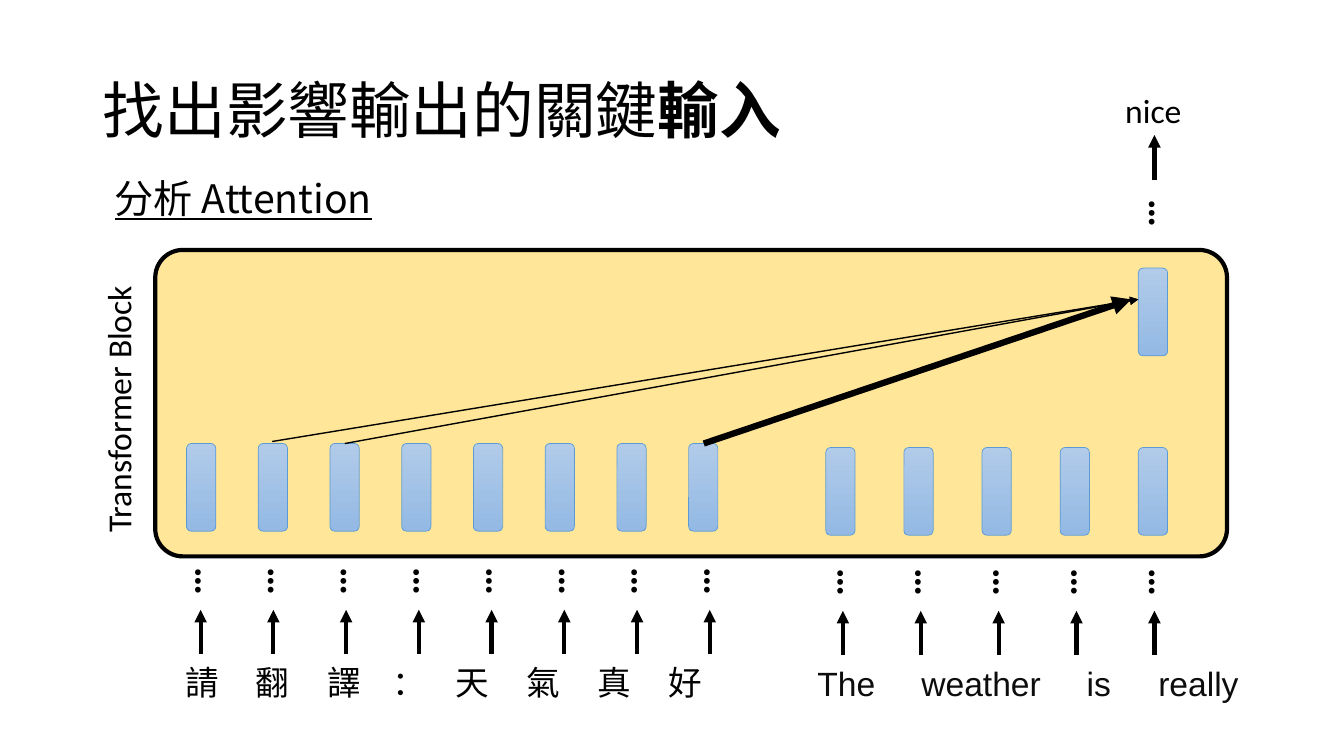
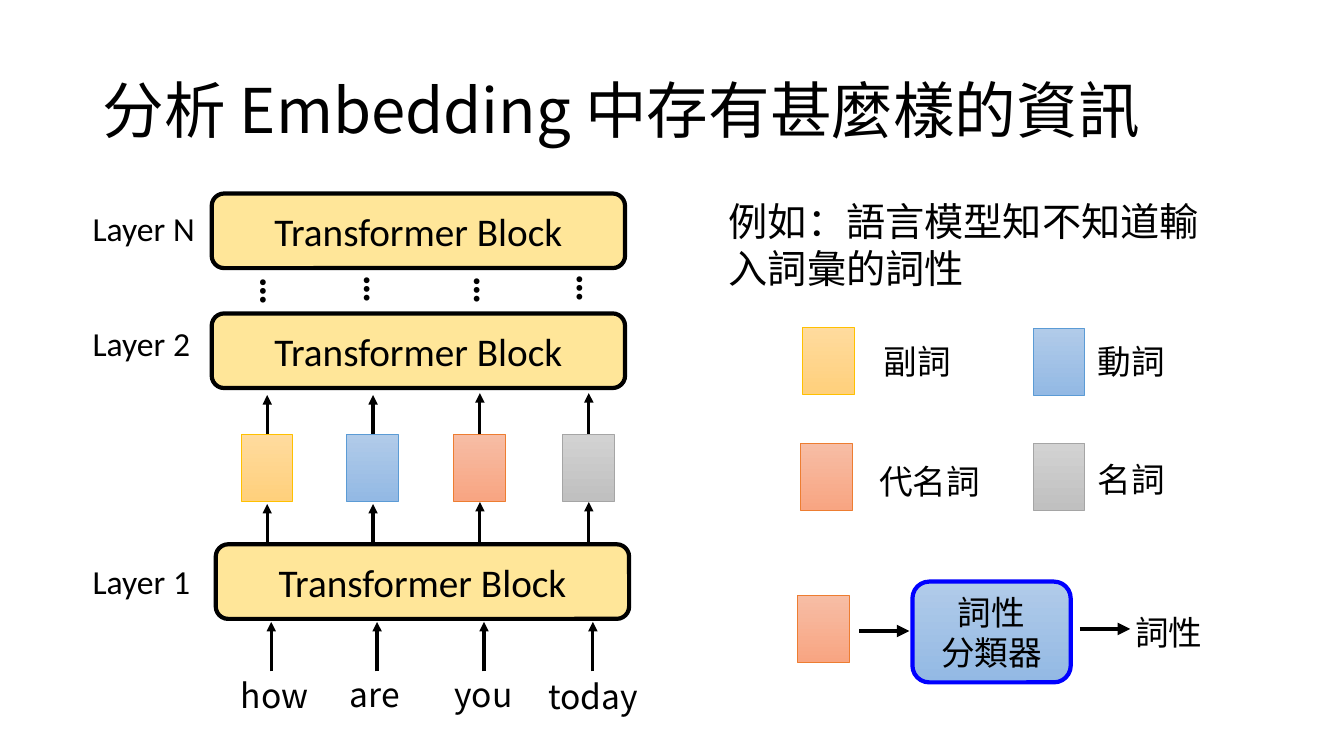
from dataclasses import dataclass

from lxml import etree
from pptx import Presentation
from pptx.dml.color import RGBColor
from pptx.enum.shapes import MSO_CONNECTOR, MSO_SHAPE
from pptx.enum.text import MSO_ANCHOR, MSO_AUTO_SIZE, PP_ALIGN
from pptx.oxml.ns import qn
from pptx.util import Inches, Pt

LEFT, CENTER = PP_ALIGN.LEFT, PP_ALIGN.CENTER
MIDDLE = MSO_ANCHOR.MIDDLE
NO_AUTOFIT, GROW = MSO_AUTO_SIZE.NONE, MSO_AUTO_SIZE.SHAPE_TO_FIT_TEXT
RECT, ROUNDED = MSO_SHAPE.RECTANGLE, MSO_SHAPE.ROUNDED_RECTANGLE
STRAIGHT = MSO_CONNECTOR.STRAIGHT

COLORS = {
    "ink": "000000",
    "soft_ink": "0D0D0D",
    "block": "FFE699",
    "classifier_line": "0000FF",
}
CJK, LATIN, SANS = "Noto Sans CJK SC", "Calibri", "Arial"
TITLE_LAYOUT = 5


@dataclass(frozen=True)
class Tint:
    top: str
    bottom: str
    line: str


TINTS = {
    "adverb": Tint("FFDB9E", "FFD07C", "FFC000"),
    "verb": Tint("B1CBE9", "93B9E4", "5B9BD5"),
    "pronoun": Tint("F7BDA5", "F8A582", "ED7D31"),
    "noun": Tint("D2D2D2", "C0C0C0", "A5A5A5"),
}


@dataclass(frozen=True)
class Place:
    left: float
    top: float
    width: float
    height: float

    def lengths(self) -> list:
        return [Inches(v) for v in (self.left, self.top, self.width, self.height)]


@dataclass(frozen=True)
class Label:
    text: str
    place: Place
    size: float = 24
    font: str = CJK
    align: int = LEFT
    color: str = "ink"
    bold: bool = False
    underline: bool = False
    rotation: float = 0
    tabs: tuple = ()


@dataclass(frozen=True)
class TokenGroup:
    """Evenly spaced input tokens with a bar, dots and an arrow each."""
    count: int
    first_bar: float
    last_bar: float
    bar_top: float
    first_arrow: float
    last_arrow: float
    arrow_tip: float


@dataclass(frozen=True)
class Swatch:
    tint: str
    left: float
    top: float


def rgb(name: str) -> RGBColor:
    return RGBColor.from_string(COLORS.get(name, name))


def spread(first: float, last: float, count: int) -> list:
    return [first + (last - first) * i / (count - 1) for i in range(count)]


def add_span(para, text: str, font: str, size: float, color: str = "ink", **formats) -> None:
    span = para.add_run()
    span.text = text
    span.font.color.rgb = rgb(color)
    for name, value in {"name": font, "size": Pt(size), **formats}.items():
        setattr(span.font, name, value)
    etree.SubElement(span.font._element, qn("a:ea"), typeface=font)


def add_titled_slide(deck, *spans):
    """Add a slide whose title is made of (text, bold) spans."""
    slide = deck.slides.add_slide(deck.slide_layouts[TITLE_LAYOUT])
    title = slide.shapes.title
    title.left, title.top, title.width, title.height = Place(0.92, 0.4, 11.5, 1.45).lengths()
    frame = title.text_frame
    for name, value in {"vertical_anchor": MIDDLE, "auto_size": NO_AUTOFIT,
                        "word_wrap": True}.items():
        setattr(frame, name, value)
    para = frame.paragraphs[0]
    para.alignment, para.line_spacing = LEFT, 0.9
    for text, bold in spans:
        add_span(para, text, CJK, 44, bold=bold)
    return slide


def add_label(slide, label: Label) -> None:
    box = slide.shapes.add_textbox(*label.place.lengths())
    box.rotation = label.rotation
    frame = box.text_frame
    frame.word_wrap, frame.auto_size = True, GROW
    para = frame.paragraphs[0]
    para.alignment = label.align
    if label.tabs:
        tab_list = etree.SubElement(para._p.get_or_add_pPr(), qn("a:tabLst"))
        for position in label.tabs:
            etree.SubElement(tab_list, qn("a:tab"), pos=str(Inches(position)), algn="l")
    add_span(para, label.text, label.font, label.size, label.color,
             bold=label.bold, underline=label.underline)


def add_dots(slide, left: float, top: float, width: float = 0.5) -> None:
    add_label(slide, Label("…", Place(left, top, width, 0.57), 28, LATIN, bold=True, rotation=90))


def add_box(slide, kind: int, place: Place, fill, line: str = "ink", line_width: float = 3,
            lines: tuple = (), font: str = LATIN, size: float = 28):
    """Add a shape filled with a colour name or a Tint, with optional centred lines."""
    box = slide.shapes.add_shape(kind, *place.lengths())
    box.shadow.inherit = False
    if isinstance(fill, Tint):
        box.fill.gradient()
        box.fill.gradient_angle = 270
        for stop, color in zip(box.fill.gradient_stops, (fill.top, fill.bottom)):
            stop.color.rgb = rgb(color)
    else:
        box.fill.solid()
        box.fill.fore_color.rgb = rgb(fill)
    box.line.color.rgb = rgb(line)
    box.line.width = Pt(line_width)
    frame = box.text_frame
    frame.vertical_anchor = MIDDLE
    for i, text in enumerate(lines):
        para = frame.add_paragraph() if i else frame.paragraphs[0]
        para.alignment = CENTER
        add_span(para, text, font, size)
    return box


def add_tinted(slide, kind: int, place: Place, name: str) -> None:
    add_box(slide, kind, place, TINTS[name], TINTS[name].line, 0.5)


def add_bar(slide, left: float, top: float) -> None:
    add_tinted(slide, ROUNDED, Place(left, top, 0.29, 0.87), "verb")


def add_swatch(slide, swatch: Swatch) -> None:
    add_tinted(slide, RECT, Place(swatch.left, swatch.top, 0.51, 0.66), swatch.tint)


def add_arrow(slide, start: tuple, end: tuple, width: float = 3) -> None:
    arrow = slide.shapes.add_connector(STRAIGHT, *(Inches(v) for v in (*start, *end)))
    arrow.line.color.rgb = rgb("ink")
    arrow.line.width = Pt(width)
    etree.SubElement(arrow.line._get_or_add_ln(), qn("a:tailEnd"), type="triangle")
    etree.SubElement(arrow._element.spPr, qn("a:effectLst"))


def build_attention_slide(deck) -> None:
    slide = add_titled_slide(deck, ("找出影響輸出的關鍵", False), ("輸入", True))
    block = add_box(slide, ROUNDED, Place(1.54, 2.48, 10.63, 3.04), "block")
    block.adjustments[0] = 0.09

    labels = (
        Label("Transformer Block", Place(-0.59, 3.81, 3.52, 0.5), font=LATIN, align=CENTER,
              rotation=270),
        Label("請\t翻\t譯\t：\t天\t氣\t真\t好", Place(1.74, 6.52, 5.99, 0.5),
              tabs=(0.7, 1.41, 2.05, 2.68, 3.38, 4.09, 4.79)),
        Label("The\tweather\tis\treally", Place(8.01, 6.53, 4.63, 0.5), font=SANS,
              color="soft_ink", tabs=(1.03, 2.67, 3.38)),
        Label("nice", Place(11.01, 0.84, 0.86, 0.5), font=LATIN, align=CENTER),
        Label("分析 Attention", Place(1.04, 1.68, 8.03, 0.57), 28, underline=True),
    )
    for label in labels:
        add_label(slide, label)

    groups = (
        TokenGroup(8, 1.85, 6.83, 4.4, 1.99, 7.04, 6.05),
        TokenGroup(5, 8.19, 11.29, 4.44, 8.36, 11.45, 6.06),
    )
    for group in groups:
        for left in spread(group.first_bar, group.last_bar, group.count):
            add_bar(slide, left, group.bar_top)
        for x in spread(group.first_arrow, group.last_arrow, group.count):
            add_arrow(slide, (x, group.arrow_tip + 0.44), (x, group.arrow_tip))
            add_dots(slide, x - 0.15, group.arrow_tip - 0.55)

    add_bar(slide, 11.29, 2.66)
    add_arrow(slide, (11.45, 1.79), (11.45, 1.34))
    add_dots(slide, 11.3, 1.85)
    for start, end_x, width in (((6.98, 4.4), 11.22, 4.5), ((2.7, 4.38), 11.29, 1),
                                ((3.42, 4.4), 11.29, 1)):
        add_arrow(slide, start, (end_x, 2.97), width)


def build_embedding_slide(deck) -> None:
    slide = add_titled_slide(deck, ("分析 Embedding 中存有甚麼樣的資訊", False))

    columns = ((2.65, 3.92), (3.7, 3.92), (4.76, 3.9), (5.84, 3.9))
    for x, tip in columns:
        add_arrow(slide, (x, tip + 0.79), (x, tip), 2.25)
        add_arrow(slide, (x, tip + 1.87), (x, tip + 1.08), 2.25)
        add_arrow(slide, (x + 0.04, 6.66), (x + 0.04, 6.17), 2.25)
    for (x, _), tint in zip(columns, TINTS):
        add_swatch(slide, Swatch(tint, x - 0.26, 4.31))

    for left, top in ((2.1, 1.92), (2.1, 3.11), (2.14, 5.4)):
        add_box(slide, ROUNDED, Place(left, top, 4.1, 0.74), "block",
                lines=("Transformer Block",))
    for left, top in ((2.18, 2.92), (3.21, 2.9), (4.3, 2.91), (5.32, 2.89)):
        add_dots(slide, left, top, 1.11)

    for text, top in (("Layer N", 2.01), ("Layer 2", 3.15), ("Layer 1", 5.52)):
        add_label(slide, Label(text, Place(0.82, top, 1.44, 0.5), font=LATIN))
    for text, left, top in (("how", 2.15, 6.65), ("are", 3.14, 6.64),
                            ("you", 4.22, 6.64), ("today", 5.31, 6.66)):
        add_label(slide, Label(text, Place(left, top, 1.15, 0.5), align=CENTER))

    swatches = (
        Swatch("adverb", 7.96, 3.25),
        Swatch("verb", 10.25, 3.26),
        Swatch("pronoun", 7.94, 4.4),
        Swatch("noun", 10.25, 4.4),
        Swatch("pronoun", 7.91, 5.91),
    )
    for swatch in swatches:
        add_swatch(slide, swatch)

    add_box(slide, ROUNDED, Place(9.05, 5.77, 1.57, 1), TINTS["verb"], "classifier_line",
            lines=("詞性", "分類器"), font=CJK, size=24)
    for x, y in ((8.52, 6.26), (10.71, 6.24)):
        add_arrow(slide, (x, y), (x + 0.5, y))

    labels = (
        Label("例如：語言模型知不知道輸入詞彙的詞性", Place(7.13, 1.91, 4.95, 1.04), 28),
        Label("副詞", Place(8.64, 3.33, 0.92, 0.5), align=CENTER),
        Label("動詞", Place(10.79, 3.33, 0.92, 0.5)),
        Label("代名詞", Place(8.57, 4.52, 1.3, 0.5), align=CENTER),
        Label("名詞", Place(10.79, 4.5, 1.3, 0.5)),
        Label("詞性", Place(11.16, 6.02, 0.92, 0.5)),
    )
    for label in labels:
        add_label(slide, label)


def main() -> None:
    deck = Presentation()
    deck.slide_width, deck.slide_height = Inches(13.33), Inches(7.5)
    build_attention_slide(deck)
    build_embedding_slide(deck)
    deck.save("out.pptx")


if __name__ == "__main__":
    main()
